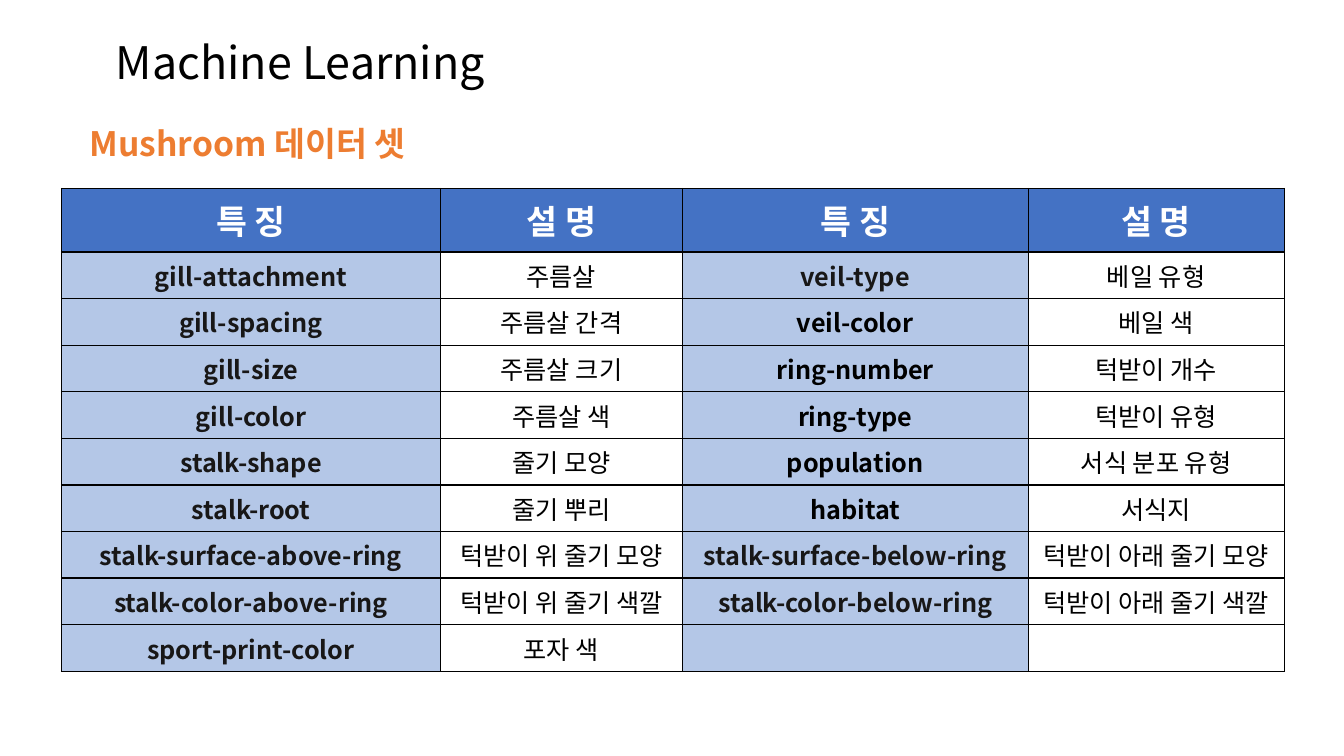
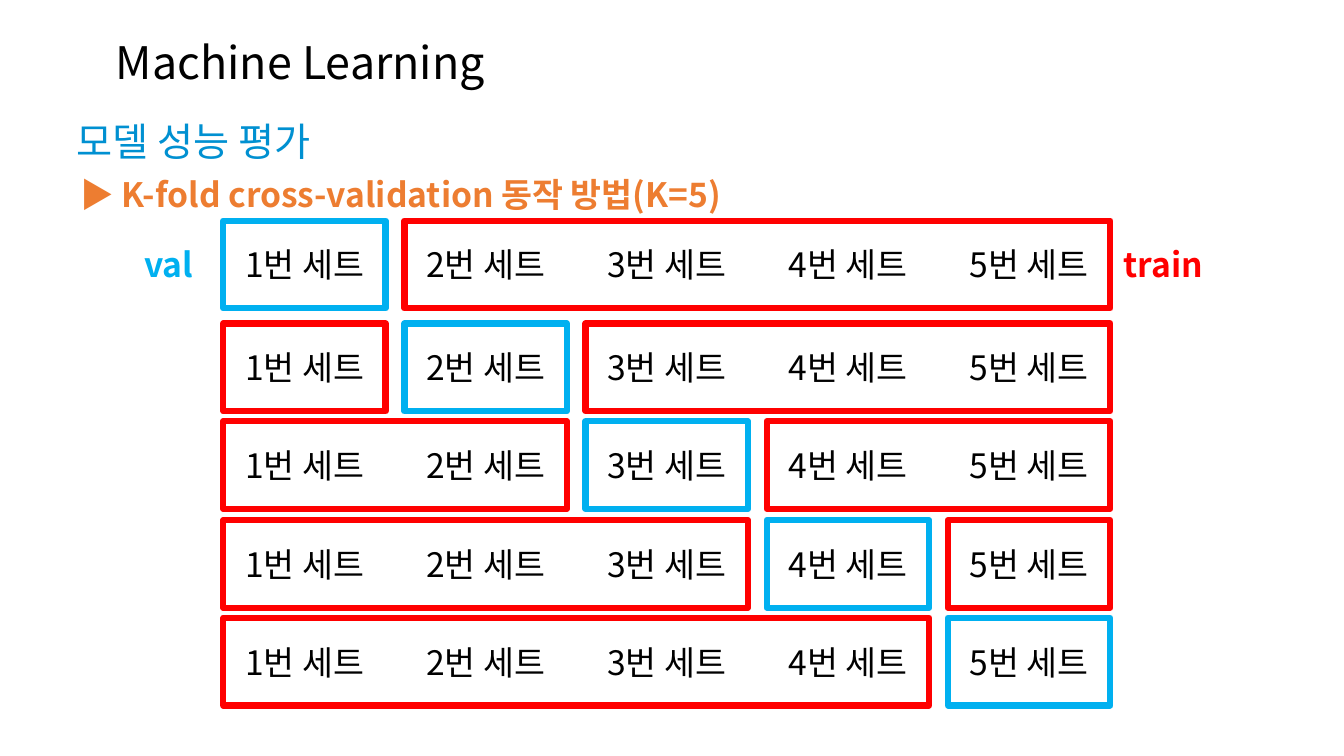
from lxml import etree
from pptx import Presentation
from pptx.dml.color import RGBColor
from pptx.enum.shapes import MSO_SHAPE
from pptx.enum.text import MSO_ANCHOR, MSO_AUTO_SIZE, PP_ALIGN
from pptx.oxml.ns import qn
from pptx.util import Pt

RECTANGLE = MSO_SHAPE.RECTANGLE
TOP, MIDDLE = MSO_ANCHOR.TOP, MSO_ANCHOR.MIDDLE
NO_FIT, GROW = MSO_AUTO_SIZE.NONE, MSO_AUTO_SIZE.SHAPE_TO_FIT_TEXT
LEFT, CENTER = PP_ALIGN.LEFT, PP_ALIGN.CENTER

BLACK = RGBColor(0x00, 0x00, 0x00)
WHITE = RGBColor(0xFF, 0xFF, 0xFF)
INK = RGBColor(0x18, 0x17, 0x17)
ORANGE = RGBColor(0xED, 0x7D, 0x31)
HEADING_BLUE = RGBColor(0x00, 0x90, 0xD1)
HEADER_BLUE = RGBColor(0x44, 0x72, 0xC4)
PALE_BLUE = RGBColor(0xB4, 0xC7, 0xE7)
TRAIN_RED = RGBColor(0xFF, 0x00, 0x00)
VAL_BLUE = RGBColor(0x00, 0xB0, 0xF0)
FONT = "Noto Sans CJK KR"

TITLE = "Machine Learning"
TITLE_BOX = (75.6, 20.9, 289.4, 46)

FEATURE_HEADING = "Mushroom 데이터 셋"
FEATURE_TABLE = [
    ("특 징", "설 명", "특 징", "설 명"),
    ("gill-attachment", "주름살", "veil-type", "베일 유형"),
    ("gill-spacing", "주름살 간격", "veil-color", "베일 색"),
    ("gill-size", "주름살 크기", "ring-number", "턱받이 개수"),
    ("gill-color", "주름살 색", "ring-type", "턱받이 유형"),
    ("stalk-shape", "줄기 모양", "population", "서식 분포 유형"),
    ("stalk-root", "줄기 뿌리", "habitat", "서식지"),
    ("stalk-surface-above-ring", "턱받이 위 줄기 모양",
     "stalk-surface-below-ring", "턱받이 아래 줄기 모양"),
    ("stalk-color-above-ring", "턱받이 위 줄기 색깔",
     "stalk-color-below-ring", "턱받이 아래 줄기 색깔"),
    ("sport-print-color", "포자 색", "", ""),
]
TABLE_LEFT, TABLE_TOP = 43.9, 134.6
COLUMN_WIDTHS = (270.7, 172.8, 247, 182.9)
HEADER_HEIGHT, ROW_HEIGHT = 45.4, 33.1
BLACK_FEATURE_ROWS = range(2, 7)

EVALUATION_HEADING = "모델 성능 평가"
METHOD = "▶ K-fold cross-validation 동작 방법(K=5)"
METHOD_BOX = (50.4, 121, 501.8, 36.7)
ROLE_LABELS = [
    ("val", VAL_BLUE, (95.8, 170.6, 69.8, 36.7)),
    ("train", TRAIN_RED, (795.6, 170.6, 77, 36.7)),
]
FOLDS = 5
SET_LEFT, SET_PITCH = 159.5, 129.4
SET_WIDTH, SET_HEIGHT = 116, 58.3
FOLD_TOPS = (159.8, 233.3, 303.1, 373.7, 443.5)
FRAME_HEIGHT, FRAME_LINE = 62.6, 4.5


def points(values):
    return [Pt(value) for value in values]


def write(text_frame, text, anchor=TOP, align=LEFT, line_spacing=None, **font_format):
    """Fill a text frame with one paragraph in the deck's font."""
    text_frame.vertical_anchor = anchor
    paragraph = text_frame.paragraphs[0]
    paragraph.alignment = align
    paragraph.space_before = Pt(0)
    if line_spacing:
        paragraph.line_spacing = line_spacing
    if not text:
        return
    run = paragraph.add_run()
    run.text = text
    font = run.font
    font.color.rgb = font_format.pop("color")
    for name, value in {"name": FONT, "bold": False, **font_format}.items():
        setattr(font, name, value)
    latin = font._element.find(qn("a:latin"))
    east_asian = etree.Element(qn("a:ea"), typeface=FONT)
    latin.addnext(east_asian)


def place(shape, box):
    for name, value in zip(("left", "top", "width", "height"), points(box)):
        setattr(shape, name, value)


def add_titled_slide(presentation, heading, heading_box, **heading_format):
    """Add a slide with the shared title and a heading in the body placeholder."""
    slide = presentation.slides.add_slide(presentation.slide_layouts[1])
    title, body = slide.placeholders
    place(title, TITLE_BOX)
    title.text_frame.word_wrap = False
    title.text_frame.auto_size = NO_FIT
    write(title.text_frame, TITLE, size=Pt(32), color=BLACK)

    place(body, heading_box)
    body.text_frame.auto_size = NO_FIT
    write(body.text_frame, heading, **heading_format)
    properties = body.text_frame.paragraphs[0]._p.get_or_add_pPr()
    properties.set("marL", "0")
    properties.set("indent", "0")
    etree.SubElement(properties, qn("a:buNone"))
    return slide


def add_label(slide, text, box, color):
    label = slide.shapes.add_textbox(*points(box))
    label.text_frame.word_wrap = True
    label.text_frame.auto_size = GROW
    write(label.text_frame, text, size=Pt(24), color=color, bold=True)


def add_borders(cell):
    properties = cell._tc.get_or_add_tcPr()
    for index, side in enumerate(("lnL", "lnR", "lnT", "lnB")):
        line = etree.Element(qn(f"a:{side}"), w=str(Pt(1)))
        fill = etree.SubElement(line, qn("a:solidFill"))
        etree.SubElement(fill, qn("a:srgbClr"), val=str(BLACK))
        properties.insert(index, line)


def cell_style(row, column):
    """Return the fill and the font format of a table cell."""
    if row == 0:
        return HEADER_BLUE, dict(size=Pt(24), color=WHITE, bold=True)
    if column % 2:
        return WHITE, dict(size=Pt(18), color=BLACK)
    is_black = column == 2 and row in BLACK_FEATURE_ROWS
    return PALE_BLUE, dict(size=Pt(18), color=BLACK if is_black else INK, bold=True)


def add_feature_table(slide):
    heights = [HEADER_HEIGHT] + [ROW_HEIGHT] * (len(FEATURE_TABLE) - 1)
    box = (TABLE_LEFT, TABLE_TOP, sum(COLUMN_WIDTHS), sum(heights))
    table = slide.shapes.add_table(len(heights), len(COLUMN_WIDTHS), *points(box)).table
    for column, width in zip(table.columns, COLUMN_WIDTHS):
        column.width = Pt(width)
    for row, height in zip(table.rows, heights):
        row.height = Pt(height)
    for row_index, texts in enumerate(FEATURE_TABLE):
        for column_index, text in enumerate(texts):
            cell = table.cell(row_index, column_index)
            fill, font_format = cell_style(row_index, column_index)
            cell.fill.solid()
            cell.fill.fore_color.rgb = fill
            cell.vertical_anchor = MIDDLE
            write(cell.text_frame, text, MIDDLE, CENTER, **font_format)
            add_borders(cell)


def add_rectangle(shapes, box):
    shape = shapes.add_shape(RECTANGLE, *points(box))
    shape.shadow.inherit = False
    return shape


def add_set_boxes(slide, fold, top):
    group = slide.shapes.add_group_shape()
    for index in range(FOLDS):
        left = SET_LEFT + index * SET_PITCH
        shape = add_rectangle(group.shapes, (left, top, SET_WIDTH, SET_HEIGHT))
        shape.line.fill.background()
        shape.fill.solid()
        shape.fill.fore_color.rgb = WHITE
        if index != fold:
            color = shape.fill._xPr.find(".//" + qn("a:srgbClr"))
            etree.SubElement(color, qn("a:alpha"), val="47000")
        write(shape.text_frame, f"{index + 1}번 세트", MIDDLE, CENTER,
              size=Pt(24), color=BLACK)


def add_fold_frames(slide, fold, top):
    """Frame the validation set and the training sets on either side of it."""
    spans = [(0, fold, TRAIN_RED), (fold, fold + 1, VAL_BLUE), (fold + 1, FOLDS, TRAIN_RED)]
    for start, end, color in spans:
        if start == end:
            continue
        left = SET_LEFT + start * SET_PITCH
        width = (end - start - 1) * SET_PITCH + SET_WIDTH
        frame_top = top - (FRAME_HEIGHT - SET_HEIGHT) / 2
        frame = add_rectangle(slide.shapes, (left, frame_top, width, FRAME_HEIGHT))
        frame.fill.background()
        frame.line.color.rgb = color
        frame.line.width = Pt(FRAME_LINE)


def build_feature_slide(presentation):
    slide = add_titled_slide(presentation, FEATURE_HEADING, (56.9, 84.2, 728.6, 36.7),
                             size=Pt(24), color=ORANGE, bold=True)
    add_feature_table(slide)


def build_validation_slide(presentation):
    slide = add_titled_slide(presentation, EVALUATION_HEADING, (47.5, 77, 828, 51.8),
                             anchor=MIDDLE, line_spacing=0.9,
                             size=Pt(28), color=HEADING_BLUE)
    for fold, top in enumerate(FOLD_TOPS):
        add_set_boxes(slide, fold, top)
    for fold, top in enumerate(FOLD_TOPS):
        add_fold_frames(slide, fold, top)
    for text, color, box in ROLE_LABELS:
        add_label(slide, text, box, color)
    add_label(slide, METHOD, METHOD_BOX, ORANGE)


def main():
    presentation = Presentation()
    presentation.slide_width, presentation.slide_height = Pt(960), Pt(540)
    build_feature_slide(presentation)
    build_validation_slide(presentation)
    presentation.save("out.pptx")


if __name__ == "__main__":
    main()
